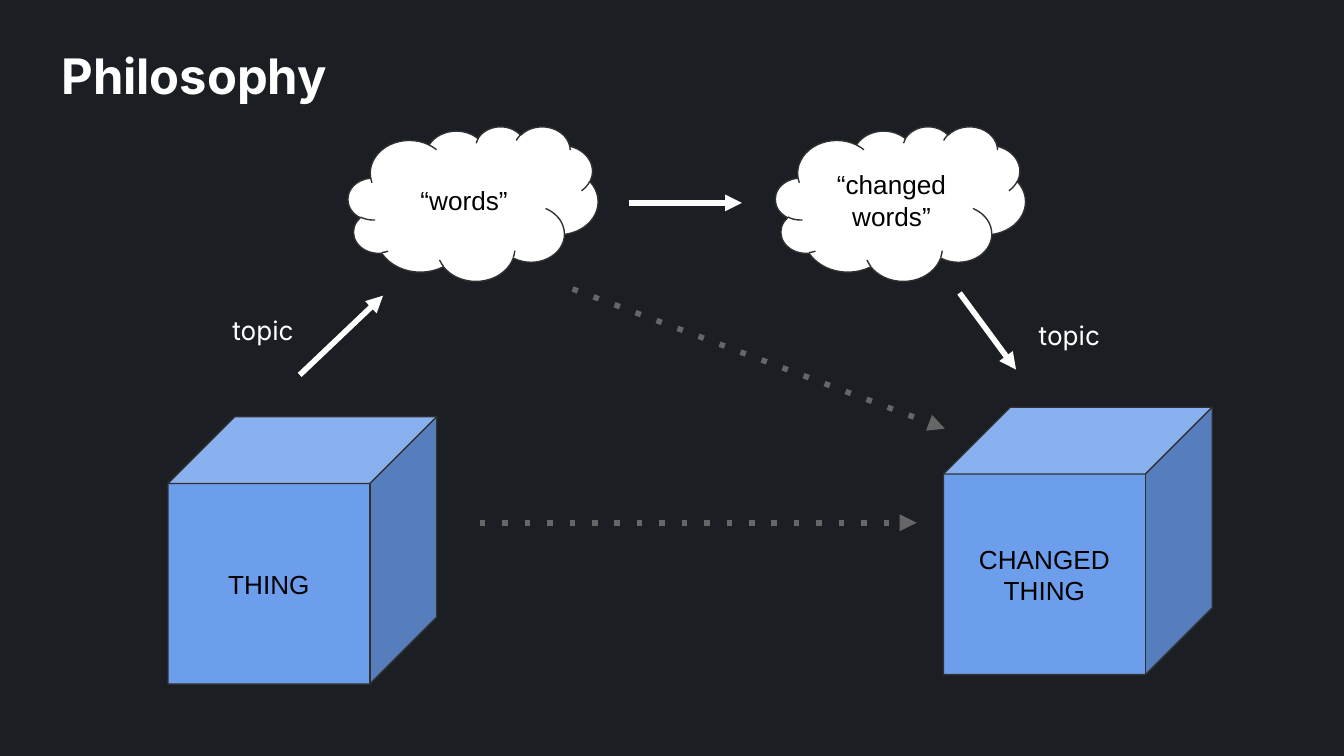
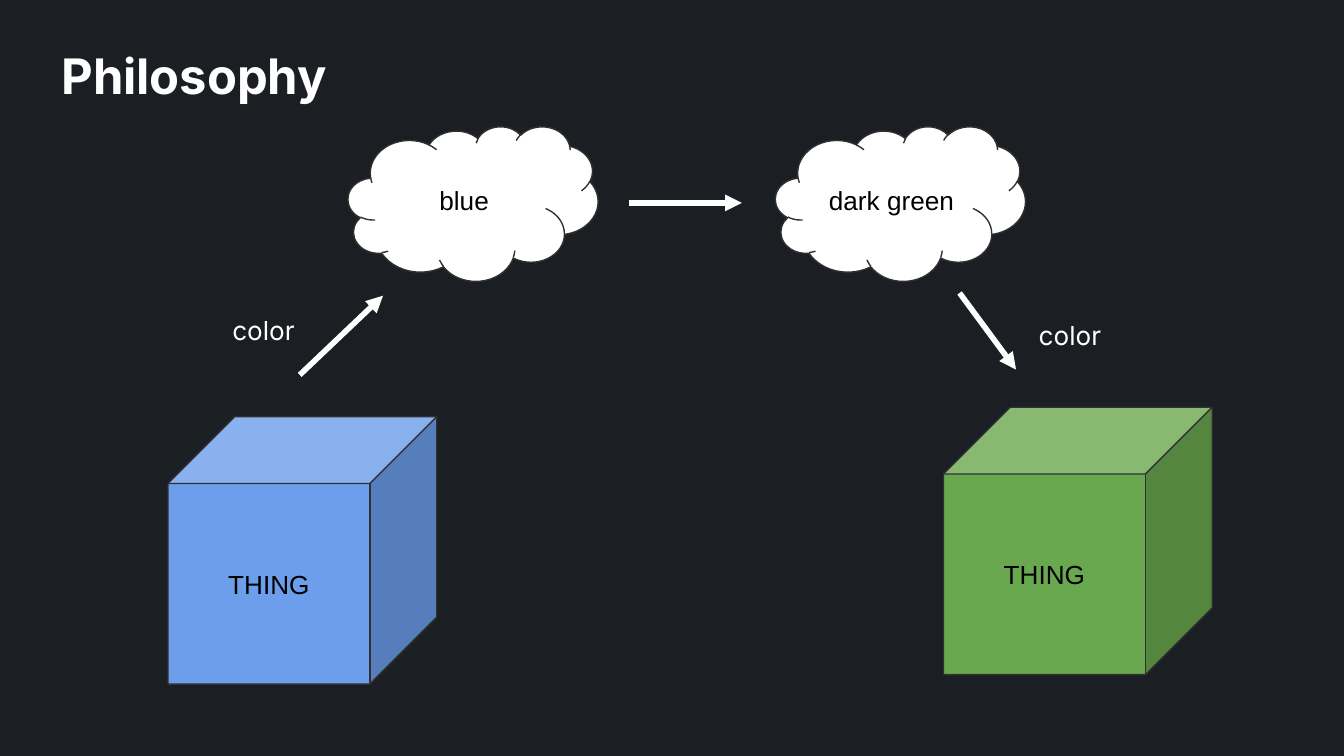
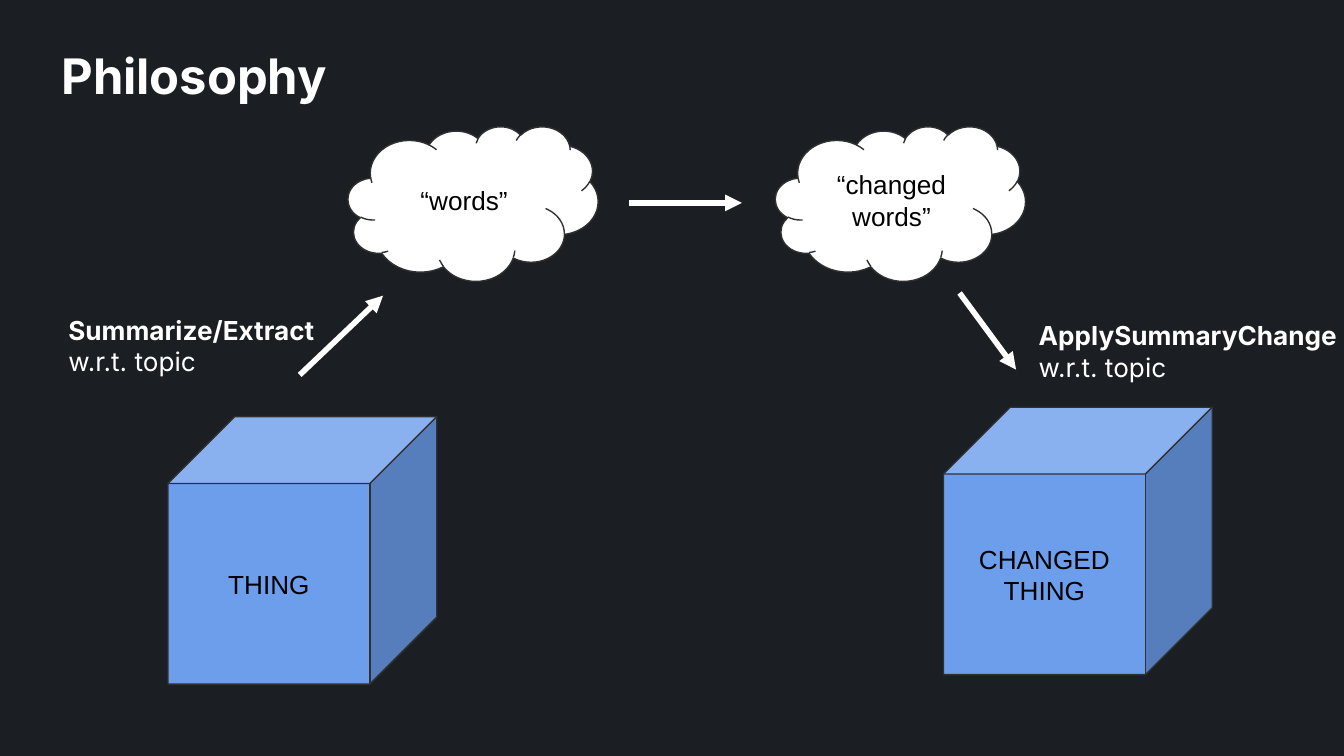
from dataclasses import dataclass

from pptx import Presentation
from pptx.dml.color import RGBColor
from pptx.enum.shapes import MSO_CONNECTOR, MSO_SHAPE
from pptx.enum.text import MSO_ANCHOR, PP_ALIGN
from pptx.oxml.ns import qn
from pptx.util import Inches, Pt
from lxml.etree import SubElement

BACKGROUND = "1B1F24"
WHITE = "FFFFFF"
BLACK = "000000"
OUTLINE = "303030"
GREY = "666666"
BLUE = "6D9EEB"
GREEN = "6AA84F"
HEADING_FONT = "Inter"
SHAPE_FONT = "Arial"
BODY_SIZE = 14
CUBE_SIZE = (2, 1.99)
CLOUD_SIZE = (1.86, 1.15)


@dataclass
class Box:
    """A rectangle in inches."""
    left: float
    top: float
    width: float
    height: float

    def inside(self, left, top, width, height):
        """Return a box placed relative to this one."""
        return Box(self.left + left, self.top + top, width, height)

    def lengths(self):
        """Return the rectangle as slide lengths."""
        return [Inches(value) for value in (self.left, self.top, self.width, self.height)]


@dataclass
class Side:
    """Where the parts of one half of the diagram sit within its box."""
    box: Box
    cube: tuple
    cloud: tuple
    arrow_start: tuple
    arrow_end: tuple
    label: tuple


@dataclass
class Content:
    """What one half of the diagram says."""
    thing: list
    idea: str
    label: list
    label_size: tuple = (0.78, 0.44)
    label_shift: float = 0
    cube_color: str = BLUE


TITLE_BOX = Box(0.36, 0.24, 8.67, 0.63)
DIAGRAM_BOX = Box(1.25, 0.94, 7.77, 4.15)
BEFORE = Side(DIAGRAM_BOX.inside(0, 0, 3.2, 4.15), (0, 2.16), (1.34, 0),
              (0.98, 1.85), (1.6, 1.26), (0.38, 1.3))
AFTER = Side(DIAGRAM_BOX.inside(4.52, 0, 3.25, 4.15), (1.25, 2.09), (0, 0),
             (1.37, 1.24), (1.79, 1.81), (1.86, 1.34))


def color(value):
    """Turn a hex string into a colour."""
    return RGBColor.from_string(value)


def add_run(paragraph, text, font_name, size, font_color, bold=False):
    """Add one formatted run."""
    run = paragraph.add_run()
    run.text = text
    run.font.name = font_name
    run.font.size = Pt(size)
    run.font.bold = bold
    run.font.color.rgb = color(font_color)


def set_frame(shape, anchor):
    """Wrap the text of a shape with even margins."""
    frame = shape.text_frame
    frame.word_wrap = True
    frame.vertical_anchor = anchor
    frame.margin_left = frame.margin_right = Inches(0.1)
    frame.margin_top = frame.margin_bottom = Inches(0.1)
    return frame


def add_text(slide, box, runs, size):
    """Add a text box made of (text, bold) runs."""
    frame = set_frame(slide.shapes.add_textbox(*box.lengths()), MSO_ANCHOR.TOP)
    for text, bold in runs:
        add_run(frame.paragraphs[0], text, HEADING_FONT, size, WHITE, bold)


def add_solid(slide, preset, box, fill_color, lines):
    """Add an outlined preset shape with centred paragraphs."""
    shape = slide.shapes.add_shape(preset, *box.lengths())
    shape.shadow.inherit = False
    shape.fill.solid()
    shape.fill.fore_color.rgb = color(fill_color)
    shape.line.color.rgb = color(OUTLINE)
    shape.line.width = Pt(0.75)
    frame = set_frame(shape, MSO_ANCHOR.MIDDLE)
    for index, text in enumerate(lines):
        paragraph = frame.add_paragraph() if index else frame.paragraphs[0]
        paragraph.alignment = PP_ALIGN.CENTER
        add_run(paragraph, text, SHAPE_FONT, BODY_SIZE, BLACK)


def add_arrow(slide, box, start, end, line_color=WHITE, dotted=False):
    """Add an arrow between two points given relative to a box."""
    points = [Inches(value) for value in (box.left + start[0], box.top + start[1],
                                          box.left + end[0], box.top + end[1])]
    connector = slide.shapes.add_connector(MSO_CONNECTOR.STRAIGHT, *points)
    connector.line.color.rgb = color(line_color)
    connector.line.width = Pt(3)
    line = connector.line._get_or_add_ln()
    if dotted:
        SubElement(line, qn("a:prstDash"), val="dot")
    SubElement(line, qn("a:tailEnd"), type="triangle", w="med", len="med")
    SubElement(connector._element.spPr, qn("a:effectLst"))


def draw_side(slide, side, content):
    """Draw a thing, its idea, and the labelled arrow that joins them."""
    box = side.box
    add_solid(slide, MSO_SHAPE.CUBE, box.inside(*side.cube, *CUBE_SIZE),
              content.cube_color, content.thing)
    add_solid(slide, MSO_SHAPE.CLOUD, box.inside(*side.cloud, *CLOUD_SIZE),
              WHITE, [content.idea])
    add_arrow(slide, box, side.arrow_start, side.arrow_end)
    label_left, label_top = side.label
    add_text(slide, box.inside(label_left + content.label_shift, label_top, *content.label_size),
             content.label, BODY_SIZE)


def draw_direct_routes(slide, box):
    """Draw the dotted routes that lead straight to the changed thing."""
    for start, end in (((3.01, 1.21), (5.78, 2.25)), ((2.32, 2.95), (5.57, 2.95))):
        add_arrow(slide, box, start, end, GREY, dotted=True)


def add_philosophy_slide(presentation, before, after, direct_routes=False):
    """Add a titled slide with both halves of the diagram."""
    slide = presentation.slides.add_slide(presentation.slide_layouts[6])
    slide.background.fill.solid()
    slide.background.fill.fore_color.rgb = color(BACKGROUND)
    add_text(slide, TITLE_BOX, [("Philosophy", True)], 26.2)
    draw_side(slide, BEFORE, before)
    draw_side(slide, AFTER, after)
    add_arrow(slide, DIAGRAM_BOX, (3.43, 0.57), (4.27, 0.57))
    if direct_routes:
        draw_direct_routes(slide, DIAGRAM_BOX)


def main():
    """Build and save the presentation."""
    presentation = Presentation()
    presentation.slide_width = Inches(10)
    presentation.slide_height = Inches(10) * 9 // 16

    topic = [("topic", False)]
    add_philosophy_slide(
        presentation,
        Content(["THING"], "“words”", topic),
        Content(["CHANGED THING"], "“changed words”", topic),
        direct_routes=True)

    color_label = [("color", False)]
    add_philosophy_slide(
        presentation,
        Content(["THING"], "blue", color_label),
        Content(["THING"], "dark green", color_label, cube_color=GREEN))

    add_philosophy_slide(
        presentation,
        Content(["THING"], "“words”",
                [("Summarize/Extract", True), (" w.r.t. topic", False)],
                (2.18, 0.67), -1.22),
        Content(["CHANGED", "THING"], "“changed words”",
                [("ApplySummaryChange ", True), ("w.r.t. topic", False)],
                (2.75, 0.67)))

    presentation.save("out.pptx")


if __name__ == "__main__":
    main()
